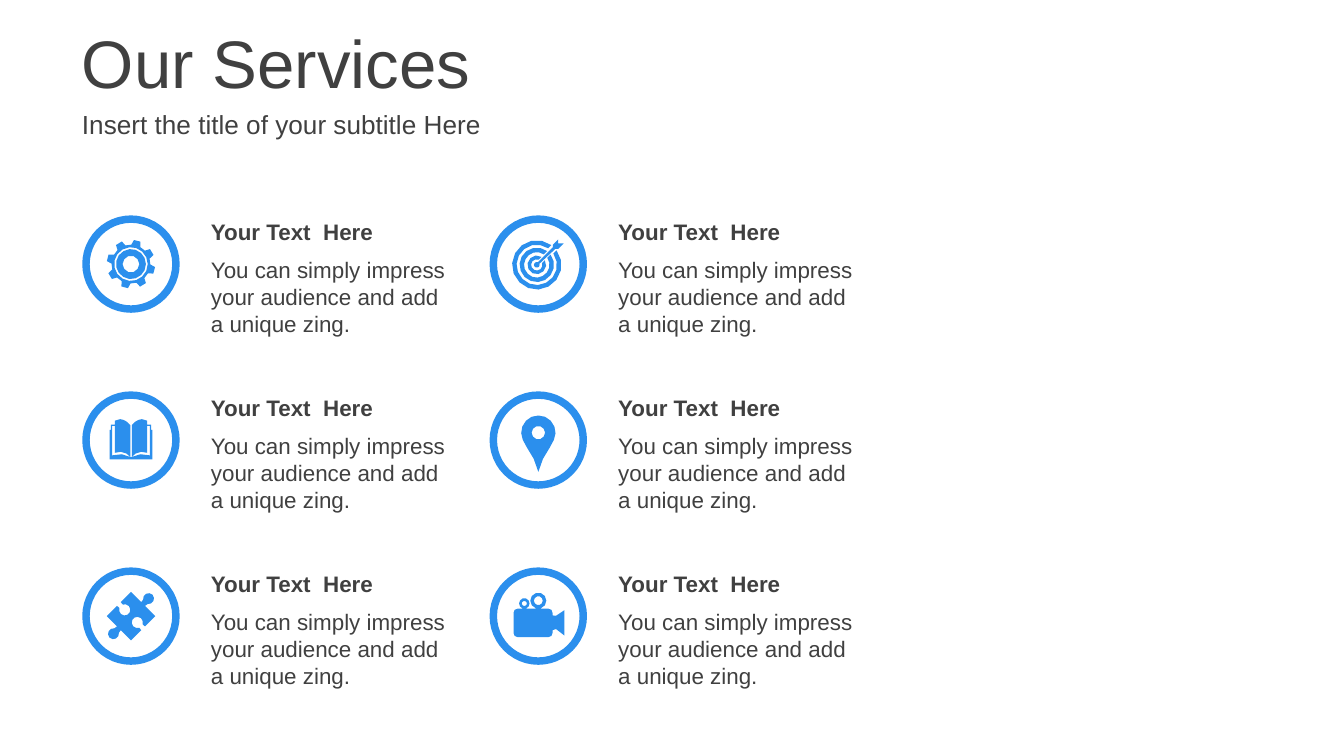
from math import asin, cos, degrees, radians, sin

from lxml.etree import SubElement
from pptx import Presentation
from pptx.dml.color import RGBColor
from pptx.enum.shapes import MSO_SHAPE
from pptx.enum.text import MSO_ANCHOR, MSO_AUTO_SIZE, PP_ALIGN
from pptx.oxml.ns import qn
from pptx.util import Pt

TITLE = "Our Services"
SUBTITLE = "Insert the title of your subtitle Here"
HEADING = "Your Text  Here"
BODY = "You can simply impress your audience and add a unique zing."
SERVICES = [  # one list per column, top to bottom
    [("gear", HEADING, BODY), ("book", HEADING, BODY), ("puzzle", HEADING, BODY)],
    [("target", HEADING, BODY), ("pin", HEADING, BODY), ("camera", HEADING, BODY)],
]

THEME = {
    "font": "Arial",
    "text": RGBColor(0x40, 0x40, 0x40),
    "accent": RGBColor(0x2B, 0x8F, 0xED),
    "title": 36,
    "subtitle": 14,
    "card": 12,
}

# Lengths in points
SLIDE_SIZE = (720, 405)
GRID_LEFT, GRID_TOP = 46.1, 117.4
COLUMN_STEP, ROW_STEP = 218.2, 94.3
RING, RING_LINE = 48.2, 4
TEXT_OFFSET, TEXT_WIDTH = 59.8, 143.3
HEADING_OFFSET, HEADING_HEIGHT = -4.3, 21.6
BODY_OFFSET, BODY_HEIGHT = 15.8, 51.1


# Icons are lists of closed outlines around the ring's centre; overlaps are holes.
def arc(x, y, radius, start, end):
    """Points on an arc, angles in degrees clockwise from the right."""
    step = 24 if radius > 6 else 36
    steps = max(2, round(abs(end - start) / step))
    angles = [radians(start + (end - start) * i / steps) for i in range(steps + 1)]
    return [(x + radius * cos(a), y + radius * sin(a)) for a in angles]


def circle(x, y, radius):
    return arc(x, y, radius, 0, 360)[:-1]


def mirrored(outline):
    return [(-x, y) for x, y in outline]


def gear():
    rim = []
    for tooth in range(8):
        middle = tooth * 45 - 75
        for radius, turn in [(10.4, -14), (13, -8), (13, 8), (10.4, 14)]:
            angle = radians(middle + turn)
            rim.append((radius * cos(angle), radius * sin(angle)))
    return [rim] + [circle(0, 0, radius) for radius in (9, 8, 4.5)]


def target():
    x, y = -0.8, 0.4
    arrow = [(1.4, -0.6), (10, -8.6), (11.5, -8.6), (14.4, -11.5), (11.5, -11.5),
             (11.5, -13.7), (8.6, -10.8), (8.6, -9.4), (0.6, -1.4)]
    outlines = [circle(x, y, 1.5), [(x + dx, y + dy) for dx, dy in arrow]]
    for outer, inner, half_gap in [(13.2, 10.8, 2), (9.2, 6.8, 1.3), (5, 3, 1.3)]:
        turns = [degrees(asin(half_gap / radius)) for radius in (outer, inner)]
        outlines.append(arc(x, y, outer, turns[0] - 45, 315 - turns[0])
                        + arc(x, y, inner, 315 - turns[1], turns[1] - 45))
    return outlines


def book():
    sheet = [(0.4, -8), (2.2, -9.8), (4, -10.8), (5.8, -11.2), (8.6, -10.4),
             (8.6, 6.8), (5.5, 6.3), (2.5, 7.2), (0.4, 9)]
    cover = [(8.6, -8.3), (10.8, -8.3), (10.8, -5.4), (11.5, -5.4), (11.5, 10.4),
             (0, 10.4), (0, 9.2), (5, 7.6), (10.1, 8.2), (10.1, -7.6), (8.6, -7.6)]
    return [sheet, mirrored(sheet), cover, mirrored(cover)]


def pin():
    side = [(6.1, 4), (2.5, 10)]
    drop = arc(0, -4, 9.2, 155, 385) + side + [(0, 17)] + mirrored(side[::-1])
    return [drop, circle(0, -4, 3.6)]


def puzzle():
    half = ([(13, 0), (7.5, 5.5)] + arc(3.4, 3.4, 3, 20, -290)
            + [(5.5, 7.5), (0, 13), (-5.5, 7.5)] + arc(-9.4, 9.4, 2.9, -10, 280)
            + [(-7.5, 5.5)])
    return [half + [(-x, -y) for x, y in half]]


def camera():
    left, top, right, bottom, corner = -13.3, -4, 7.6, 11.2, 2.2
    corners = [(right - corner, bottom - corner), (left + corner, bottom - corner),
               (left + corner, top + corner), (right - corner, top + corner)]
    case = [point for i, (x, y) in enumerate(corners)
            for point in arc(x, y, corner, i * 90, i * 90 + 90)]
    lens = [(right, -0.4), (9.5, -0.2), (14, -3.2), (14, 10.4), (9.5, 6.9), (right, 7.5)]
    reels = [(0, -8.3, 4.3), (0, -8.3, 2.4), (-7.5, -6.8, 2.8), (-7.5, -6.8, 1.4)]
    return [case, lens] + [circle(*reel) for reel in reels]


ICONS = {"gear": gear, "target": target, "book": book, "pin": pin,
         "puzzle": puzzle, "camera": camera}


def write(box, text, size, bold=False):
    frame = box.text_frame
    frame.text = text
    frame.word_wrap = True
    frame.auto_size = MSO_AUTO_SIZE.NONE
    frame.vertical_anchor = MSO_ANCHOR.MIDDLE
    para = frame.paragraphs[0]
    para.alignment = PP_ALIGN.LEFT
    para.space_before = Pt(0)
    font = para.runs[0].font
    font.name, font.size, font.bold = THEME["font"], Pt(size), bold
    font.color.rgb = THEME["text"]


def place(box, left, top, width, height):
    box.left, box.top, box.width, box.height = map(Pt, (left, top, width, height))


def add_ring(page, left, top):
    ring = page.shapes.add_shape(MSO_SHAPE.OVAL, Pt(left), Pt(top), Pt(RING), Pt(RING))
    ring.shadow.inherit = False
    ring.fill.background()
    ring.line.color.rgb = THEME["accent"]
    ring.line.width = Pt(RING_LINE)


def add_icon(page, outlines, x, y):
    builder = None
    for outline in outlines:
        points = [(round(px * 10), round(py * 10)) for px, py in outline]
        if builder is None:
            builder = page.shapes.build_freeform(*points[0], scale=Pt(1) / 10)
        else:
            builder.move_to(*points[0])
        builder.add_line_segments(points[1:], close=True)
    icon = builder.convert_to_shape(Pt(x), Pt(y))
    icon.shadow.inherit = False
    icon.fill.solid()
    icon.fill.fore_color.rgb = THEME["accent"]
    icon.line.fill.background()


def add_card(page, left, top, icon, heading, body):
    add_ring(page, left, top)
    add_icon(page, ICONS[icon](), left + RING / 2, top + RING / 2)
    group = page.shapes.add_group_shape()
    for text, offset, height, bold in [(body, BODY_OFFSET, BODY_HEIGHT, False),
                                       (heading, HEADING_OFFSET, HEADING_HEIGHT, True)]:
        box = group.shapes.add_textbox(Pt(left + TEXT_OFFSET), Pt(top + offset),
                                       Pt(TEXT_WIDTH), Pt(height))
        write(box, text, THEME["card"], bold)


def main():
    deck = Presentation()
    deck.slide_width, deck.slide_height = map(Pt, SLIDE_SIZE)
    page = deck.slides.add_slide(deck.slide_layouts[1])

    title, subtitle = page.placeholders
    place(title, 36.7, 10.1, 683.3, 45.4)
    write(title, TITLE, THEME["title"])
    place(subtitle, 36.7, 55.4, 683.3, 22.3)
    write(subtitle, SUBTITLE, THEME["subtitle"])
    properties = subtitle.text_frame.paragraphs[0]._p.get_or_add_pPr()
    properties.set("marL", "0")
    properties.set("indent", "0")
    SubElement(properties, qn("a:buNone"))

    for column, services in enumerate(SERVICES):
        for row, service in enumerate(services):
            add_card(page, GRID_LEFT + column * COLUMN_STEP,
                     GRID_TOP + row * ROW_STEP, *service)

    deck.save("out.pptx")


if __name__ == "__main__":
    main()
